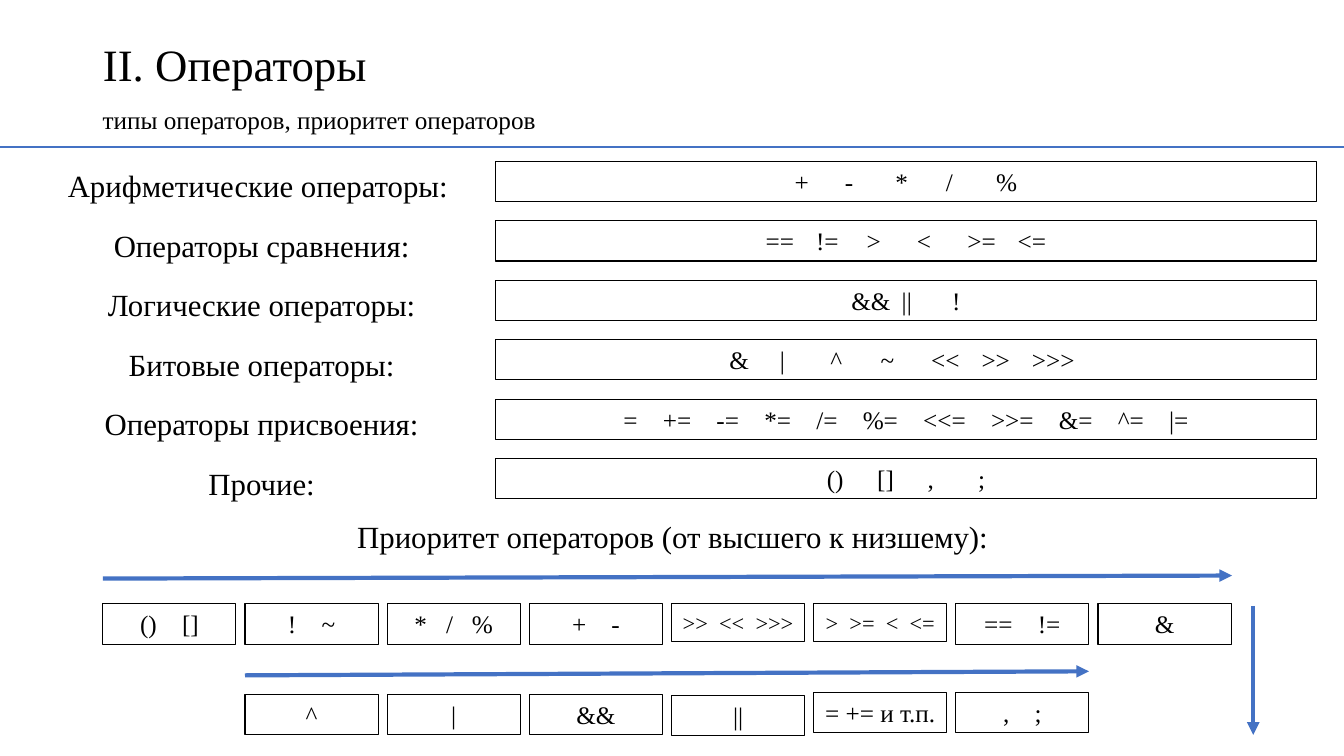
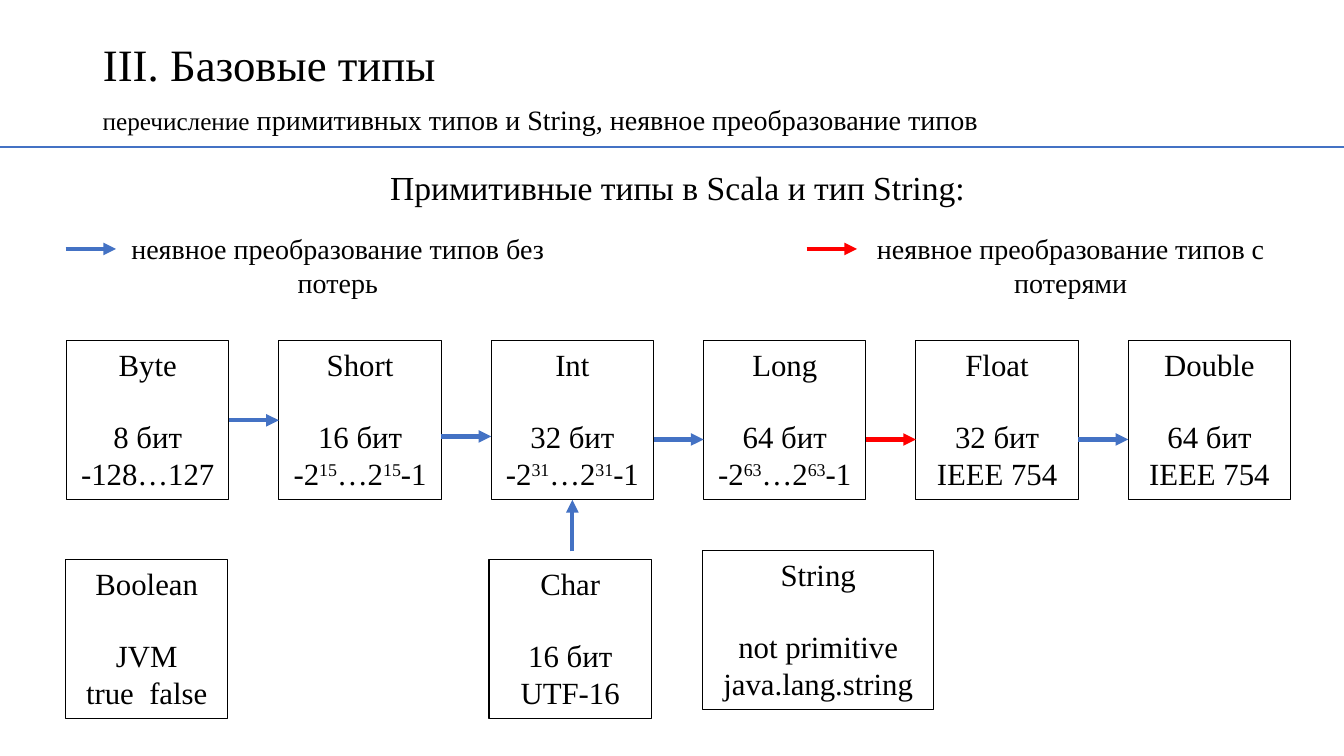
"""Builds two lecture slides: operators and basic types."""
from lxml import etree
from pptx import Presentation
from pptx.dml.color import RGBColor
from pptx.enum.shapes import MSO_CONNECTOR, MSO_SHAPE
from pptx.enum.text import MSO_ANCHOR, MSO_AUTO_SIZE, PP_ALIGN
from pptx.oxml.ns import qn
from pptx.util import Inches, Pt

STRAIGHT = MSO_CONNECTOR.STRAIGHT
RECT = MSO_SHAPE.RECTANGLE
TOP, MIDDLE = MSO_ANCHOR.TOP, MSO_ANCHOR.MIDDLE
LEFT, CENTER = PP_ALIGN.LEFT, PP_ALIGN.CENTER
FIT, FIXED = MSO_AUTO_SIZE.SHAPE_TO_FIT_TEXT, MSO_AUTO_SIZE.NONE

COLORS = {"text": "000000", "accent": "4472C4", "loss": "FF0000"}
FONT = "Times New Roman"
SLIDE_W, SLIDE_H = 13.33, 7.5


def spaced(tokens, gap):
    """Join tokens with one space each, widened by gap points."""
    runs = []
    for token in tokens.split():
        if runs:
            runs.append((" ", {"spc": gap}))
        runs.append((token, {}))
    return runs


def power_range(exponent):
    """Return the runs of a signed integer range."""
    power = (exponent, {"sup": True})
    return [("-2", {}), power, ("…2", {}), power, ("-1", {})]


OPERATORS = [
    ("Арифметические операторы: ", "+\t-\t*\t/\t%"),
    ("Операторы сравнения:", "==\t!=\t>\t<\t>=\t<="),
    ("Логические операторы:", "&&\t||\t!"),
    ("Битовые операторы:", "&\t|\t^\t~\t<<\t>>\t>>>\t"),
    ("Операторы присвоения:", spaced("= += -= *= /= %= <<= >>= &= ^= |=", 13.5)),
    ("Прочие:", "()\t[]\t,\t;"),
]
PRIORITY_ROWS = [
    (0, [("() []", 13.5, 18, 5.99), ("! ~", 13.5, 18, 5.99),
         ("* / %", 9, 18, 5.99), ("+ -", 13.5, 18, 5.99),
         (">> << >>>", 4, 16, 5.99), ("> >= < <=", 4, 16, 5.99),
         ("== !=", 13.5, 18, 5.99), ("&", 0, 18, 5.99)]),
    (1, [("^", 0, 18, 6.89), ("|", 0, 18, 6.89), ("&&", 0, 18, 6.89),
         ("||", 0, 18, 6.9), ("= += и т.п.", 0, 18, 6.87),
         (", ;", 13.5, 18, 6.87)]),
]
PRIORITY_ARROWS = [
    ((1.02, 5.74), (12.22, 5.71)),
    ((2.43, 6.7), (10.8, 6.66)),
    ((12.43, 6.01), (12.43, 7.29)),
]

NUMBER_TYPES = [
    ("Byte", "8 бит", "-128…127"),
    ("Short", "16 бит", power_range("15")),
    ("Int", "32 бит", power_range("31")),
    ("Long", "64 бит", power_range("63")),
    ("Float", "32 бит", "IEEE 754"),
    ("Double", "64 бит", "IEEE 754"),
]
OTHER_TYPES = [
    (0.65, 5.55, 1.61, ("Boolean", "JVM", spaced("true false", 5.5))),
    (4.85, 5.55, 1.61, ("Char", "16 бит", "UTF-16")),
    (6.97, 5.46, 2.29, ("String", "not primitive", "java.lang.string")),
]
CONVERSIONS = [(4.17, "accent"), (4.33, "accent"), (4.36, "accent"),
               (4.36, "loss"), (4.36, "accent")]
LEGEND = [
    (0.65, 1.04, 4.62, "accent", "неявное преобразование типов без потерь"),
    (8, 8.26, 4.72, "loss", "неявное преобразование типов с потерями"),
]


def rgb(name):
    return RGBColor.from_string(COLORS[name])


def fill_text(shape, lines, size, align=CENTER, anchor=TOP, auto=FIT):
    """Write lines, each a string or a list of (text, format) runs."""
    tf = shape.text_frame
    tf.word_wrap = True
    tf.auto_size = auto
    tf.vertical_anchor = anchor
    for i, line in enumerate(lines):
        p = tf.add_paragraph() if i else tf.paragraphs[0]
        p.alignment = align
        for text, style in [(line, {})] if isinstance(line, str) else line:
            r = p.add_run()
            r.text = text
            r.font.name = FONT
            r.font.size = Pt(style.get("size", size))
            r.font.color.rgb = rgb("text")
            rpr = r._r.get_or_add_rPr()
            if style.get("spc"):
                rpr.set("spc", str(int(style["spc"] * 100)))
            if style.get("sup"):
                rpr.set("baseline", "30000")
    return tf


def add_label(s, x, y, w, h, line, size, **layout):
    box = s.shapes.add_textbox(Inches(x), Inches(y), Inches(w), Inches(h))
    return fill_text(box, [line], size, **layout)


def add_box(s, x, y, w, h, lines, size):
    sp = s.shapes.add_shape(RECT, Inches(x), Inches(y), Inches(w), Inches(h))
    sp.shadow.inherit = False
    sp.fill.background()
    sp.line.color.rgb = rgb("text")
    sp.line.width = Pt(0.75)
    fill_text(sp, lines, size)
    return sp


def add_type(s, x, y, w, lines):
    sp = add_box(s, x, y, w, 1.58, lines, 22)
    sp.text_frame.paragraphs[0].space_after = Pt(25)
    return sp


def add_line(s, start, end, color="accent", width=3, arrow=True):
    line = s.shapes.add_connector(STRAIGHT, *map(Inches, start + end))
    line.line.color.rgb = rgb(color)
    line.line.width = Pt(width)
    if arrow:
        ln = line.line._get_or_add_ln()
        etree.SubElement(ln, qn("a:tailEnd")).set("type", "triangle")
    etree.SubElement(line._element.spPr, qn("a:effectLst"))
    return line


def add_slide(prs, title, subtitle):
    """Add a slide with the shared title, subtitle and rule."""
    s = prs.slides.add_slide(prs.slide_layouts[5])
    head = s.shapes.title
    head.left, head.top = Inches(0.92), Inches(0.4)
    head.width, head.height = Inches(11.5), Inches(0.52)
    layout = {"align": LEFT, "anchor": MIDDLE, "auto": FIXED}
    title_tf = fill_text(head, [title], 32, **layout)
    sub_tf = add_label(s, 0.92, 0.94, 11.5, 0.52, subtitle, 18, **layout)
    for tf in (title_tf, sub_tf):
        tf.paragraphs[0].line_spacing = 0.9
    add_line(s, (0, 1.46), (SLIDE_W, 1.46), width=1.5, arrow=False)
    return s


def build_operators(prs):
    s = add_slide(prs, "II. Операторы", "типы операторов, приоритет операторов")
    for i, (label, operators) in enumerate(OPERATORS):
        y = 1.6 + 0.59 * i
        add_label(s, 0.28, y + 0.01, 4.63, 0.47, label, 22)
        add_box(s, 4.91, y, 8.15, 0.4, [operators], 18)
    add_label(s, 0.28, 5.09, 12.78, 0.47,
              "Приоритет операторов (от высшего к низшему):", 22)
    for first_column, cells in PRIORITY_ROWS:
        for column, (tokens, gap, size, y) in enumerate(cells, first_column):
            h = 0.4 if size == 18 else 0.37
            add_box(s, 1.02 + 1.41 * column, y, 1.32, h,
                    [spaced(tokens, gap)], size)
    for start, end in PRIORITY_ARROWS:
        add_line(s, start, end)


def build_types(prs):
    s = add_slide(prs, "III. Базовые типы", [
        ("перечисление", {}),
        (" примитивных типов и String, неявное преобразование типов", {"size": 20}),
    ])
    add_label(s, 0.65, 1.61, 12.14, 0.5,
              "Примитивные типы в Scala и тип String:", 24)
    for arrow_x, x, w, color, text in LEGEND:
        add_line(s, (arrow_x, 2.47), (arrow_x + 0.5, 2.47), color)
        add_label(s, x, 2.25, w, 0.77, text, 20)

    width, top, middle = 1.61, 3.38, 4.17
    step = (11.19 - 0.66) / (len(NUMBER_TYPES) - 1)
    lefts = [0.66 + step * i for i in range(len(NUMBER_TYPES))]
    boxes = [add_type(s, x, top, width, lines)
             for x, lines in zip(lefts, NUMBER_TYPES)]
    for x, y, w, lines in OTHER_TYPES:
        add_type(s, x, y, w, lines)

    for i, (y, color) in enumerate(CONVERSIONS):
        line = add_line(s, (lefts[i] + width, y), (lefts[i + 1], y), color)
        if y == middle:
            line.begin_connect(boxes[i], 3)
            line.end_connect(boxes[i + 1], 1)
    int_center = lefts[2] + width / 2
    char_to_int = add_line(s, (int_center, 5.47), (int_center, 4.96))
    char_to_int.end_connect(boxes[2], 2)


def main():
    prs = Presentation()
    prs.slide_width, prs.slide_height = Inches(SLIDE_W), Inches(SLIDE_H)
    build_operators(prs)
    build_types(prs)
    prs.save("out.pptx")


if __name__ == "__main__":
    main()
